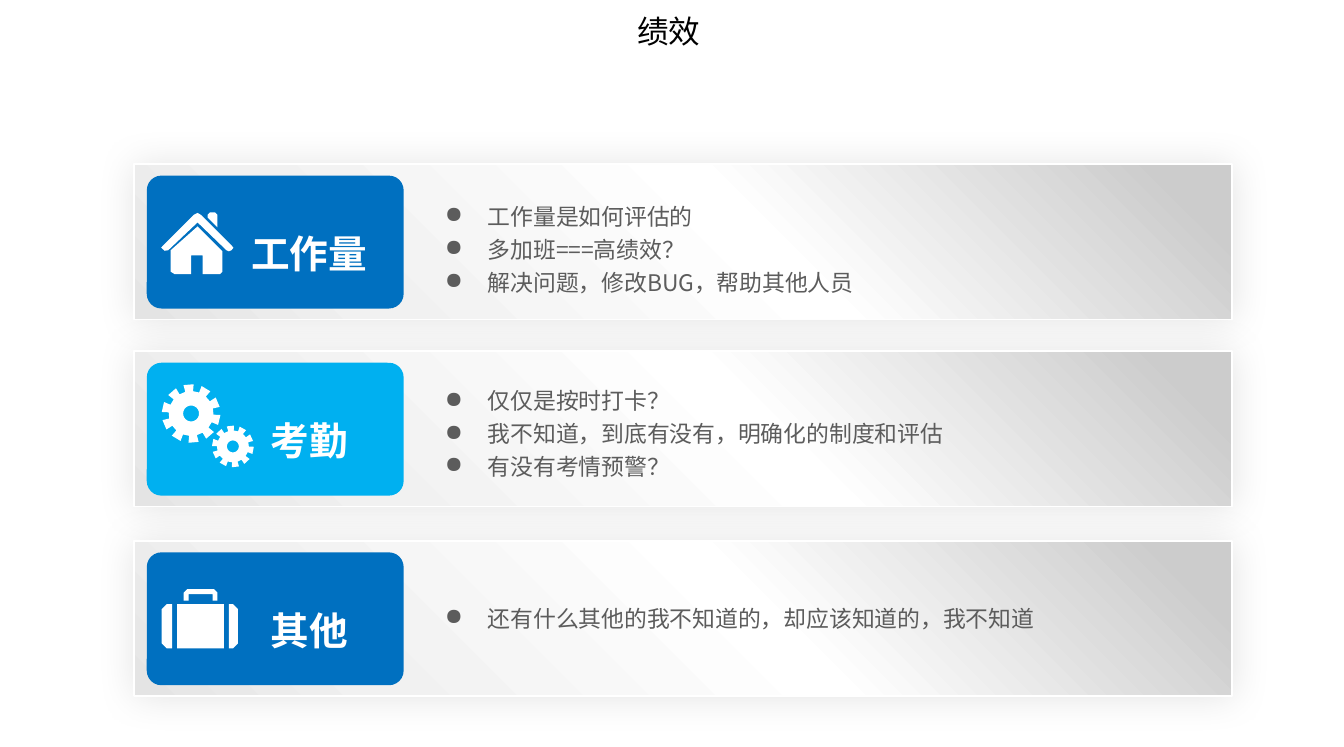
import math

from lxml import etree
from pptx import Presentation
from pptx import util as u
from pptx.dml.color import RGBColor
from pptx.enum import shapes, text
from pptx.oxml.ns import qn

FONT = "Noto Sans CJK SC"
WHITE, BLUE, SKY, GREY = "FFFFFF", "0070C0", "00B0F0", "5C5C5C"
PANEL_STOPS = [(6, "CCCCCC"), (43, WHITE), (80, "F1F1F1"), (100, "E4E4E4")]
ROW_LEFT, ROW_WIDTH, ROW_HEIGHT = 2.7, 22.05, 3.12


def ring(centre_x, centre_y, radius, count=24):
    """Return points evenly spaced on a circle."""
    turns = [math.tau * step / count for step in range(count)]
    return [(centre_x + radius * math.cos(turn), centre_y + radius * math.sin(turn))
            for turn in turns]


def gear(centre_x, centre_y, tip, root, hole, phase, teeth=10):
    """Return the toothed outline and the round hole of a gear."""
    outline = []
    for tooth in range(teeth):
        middle = phase + 360 * tooth / teeth
        for offset, radius in ((-10, root), (-10, tip), (10, tip), (10, root)):
            angle = math.radians(middle + offset)
            outline.append((centre_x + radius * math.cos(angle),
                            centre_y + radius * math.sin(angle)))
    return [outline, ring(centre_x, centre_y, hole)]


def block(left, top, right, bottom):
    """Return the corners of a rectangle."""
    return [(left, top), (right, top), (right, bottom), (left, bottom)]


HOUSE = [
    [(1.22, .79), (1.27, .74), (1.37, .74), (1.42, .79), (1.42, 1.04), (1.22, .84)],
    [(.33, 1.4), (.94, .79), (1.02, .75), (1.09, .79), (1.7, 1.4), (1.74, 1.45),
     (1.7, 1.5), (1.65, 1.52), (1.6, 1.5), (1.02, .94), (.43, 1.5), (.36, 1.51),
     (.29, 1.45)],
    [(1.02, 1.02), (1.52, 1.52), (1.52, 1.93), (1.47, 1.98), (1.12, 1.98), (1.12, 1.6),
     (.89, 1.6), (.89, 1.98), (.56, 1.98), (.48, 1.93), (.48, 1.5)],
]
GEARS = [gear(.89, 1.02, .59, .45, .16, 85), gear(1.73, 1.68, .42, .32, .12, 11)]
SUITCASE = [
    [(.84, .84), (1.32, .84), (1.32, .97), (1.42, .97), (1.42, .81), (1.35, .74),
     (.81, .74), (.74, .81), (.74, .97), (.84, .97)],
    [(.3, 1.14), (.4, 1.04), (.51, 1.04), (.51, 1.93), (.4, 1.93), (.3, 1.83)],
    block(.61, 1.04, 1.55, 1.93),
    [(1.65, 1.04), (1.73, 1.04), (1.83, 1.14), (1.83, 1.83), (1.73, 1.93), (1.65, 1.93)],
]
ROWS = [
    (3.3, BLUE, "工作量", [HOUSE], .53,
     ["工作量是如何评估的", "多加班===高绩效？", "解决问题，修改BUG，帮助其他人员"]),
    (7.06, SKY, "考勤", GEARS, .48,
     ["仅仅是按时打卡？", "我不知道，到底有没有，明确化的制度和评估", "有没有考情预警？"]),
    (10.87, BLUE, "其他", [SUITCASE], 1.04,
     ["还有什么其他的我不知道的，却应该知道的，我不知道"]),
]


def colour(value):
    """Turn a hex string into a colour."""
    return RGBColor.from_string(value)


def add_text(parent, box, lines, size, ink, bold=False, centred=True, spacing=1.2,
             insets=(.25, .13), bullet=None):
    """Write paragraphs of one style in a wrapping text box."""
    frame = parent.add_textbox(*map(u.Cm, box)).text_frame
    frame.word_wrap = True
    frame.auto_size = text.MSO_AUTO_SIZE.SHAPE_TO_FIT_TEXT
    frame.margin_left = frame.margin_right = u.Cm(insets[0])
    frame.margin_top = frame.margin_bottom = u.Cm(insets[1])
    for index, line in enumerate(lines):
        para = frame.add_paragraph() if index else frame.paragraphs[0]
        para.text = line
        para.alignment = text.PP_ALIGN.CENTER if centred else text.PP_ALIGN.LEFT
        para.line_spacing = spacing
        para.font.size, para.font.bold, para.font.name = u.Pt(size), bold, FONT
        para.font.color.rgb = colour(ink)
        settings = para._p.pPr
        defaults = settings.find(qn("a:defRPr"))
        etree.SubElement(defaults, qn("a:ea"), typeface=FONT)
        if bullet:
            indent = u.Cm(.86)
            settings.set("marL", str(indent))
            settings.set("indent", str(-indent))
            mark = etree.SubElement(settings, qn("a:buChar"), char=bullet)
            defaults.addprevious(mark)


def add_panel(page, box):
    """Draw a graded panel with a white edge and a soft shadow."""
    panel = page.shapes.add_shape(shapes.MSO_SHAPE.ROUNDED_RECTANGLE, *map(u.Cm, box))
    panel.adjustments[0] = 0
    panel.line.color.rgb = colour(WHITE)
    panel.line.width = u.Pt(1)
    panel.fill.gradient()
    panel.fill.gradient_angle = 225
    stops = panel._element.spPr.find(".//" + qn("a:gsLst"))
    for stop in list(stops):
        stops.remove(stop)
    for position, value in PANEL_STOPS:
        stop = etree.SubElement(stops, qn("a:gs"), pos=str(position * 1000))
        etree.SubElement(stop, qn("a:srgbClr"), val=value)
    panel.shadow.inherit = False
    effects = panel._element.spPr.find(qn("a:effectLst"))
    shadow = etree.SubElement(effects, qn("a:outerShdw"), blurRad=str(u.Pt(22)),
                              dist="0", dir="0", algn="ctr", rotWithShape="0")
    tone = etree.SubElement(shadow, qn("a:srgbClr"), val="000000")
    etree.SubElement(tone, qn("a:alpha"), val="11000")


def paint(shape, value):
    """Fill a shape plainly, without outline or shadow."""
    shape.fill.solid()
    shape.fill.fore_color.rgb = colour(value)
    shape.line.fill.background()
    shape.shadow.inherit = False


def add_icon(parent, left, top, contours):
    """Draw white contours measured from the given corner."""
    outlines = [[(u.Cm(left + x), u.Cm(top + y)) for x, y in contour]
                for contour in contours]
    builder = parent.build_freeform(*outlines[0][0])
    for index, points in enumerate(outlines):
        if index:
            builder.move_to(*points[0])
        builder.add_line_segments(points[1:], close=True)
    paint(builder.convert_to_shape(), WHITE)


def add_badge(page, box, fill, label, icons):
    """Group a coloured badge with its icons and label."""
    left, top = box[:2]
    parts = page.shapes.add_group_shape().shapes
    badge = parts.add_shape(shapes.MSO_SHAPE.ROUNDED_RECTANGLE, *map(u.Cm, box))
    badge.adjustments[0] = .11
    paint(badge, fill)
    for contours in icons:
        add_icon(parts, left, top, contours)
    add_text(parts, (left + 1.73, top + .78, 3.07, 1.37), [label], 22, WHITE, bold=True)


def add_row(page, box, fill, label, icons, notes_top, notes):
    """Place one topic: panel, badge and bulleted notes."""
    left, top = box[:2]
    add_panel(page, box)
    add_badge(page, (left + .25, top + .23, 5.16, 2.67), fill, label, icons)
    add_text(page.shapes, (left + 5.96, top + notes_top, 14.45, .75 * len(notes)), notes,
             13, GREY, centred=False, insets=(.28, .13), bullet="●")


def main():
    """Build the performance slide."""
    deck = Presentation()
    deck.slide_width, deck.slide_height = u.Cm(27), u.Cm(15.01)
    page = deck.slides.add_slide(deck.slide_layouts[6])
    for top, *content in ROWS:
        add_row(page, (ROW_LEFT, top, ROW_WIDTH, ROW_HEIGHT), *content)
    add_text(page.shapes, (9.96, .15, 6.96, .97), ["绩效"], 18, "000000", spacing=1.0,
             insets=(.18, .1))
    deck.save("out.pptx")


if __name__ == "__main__":
    main()
